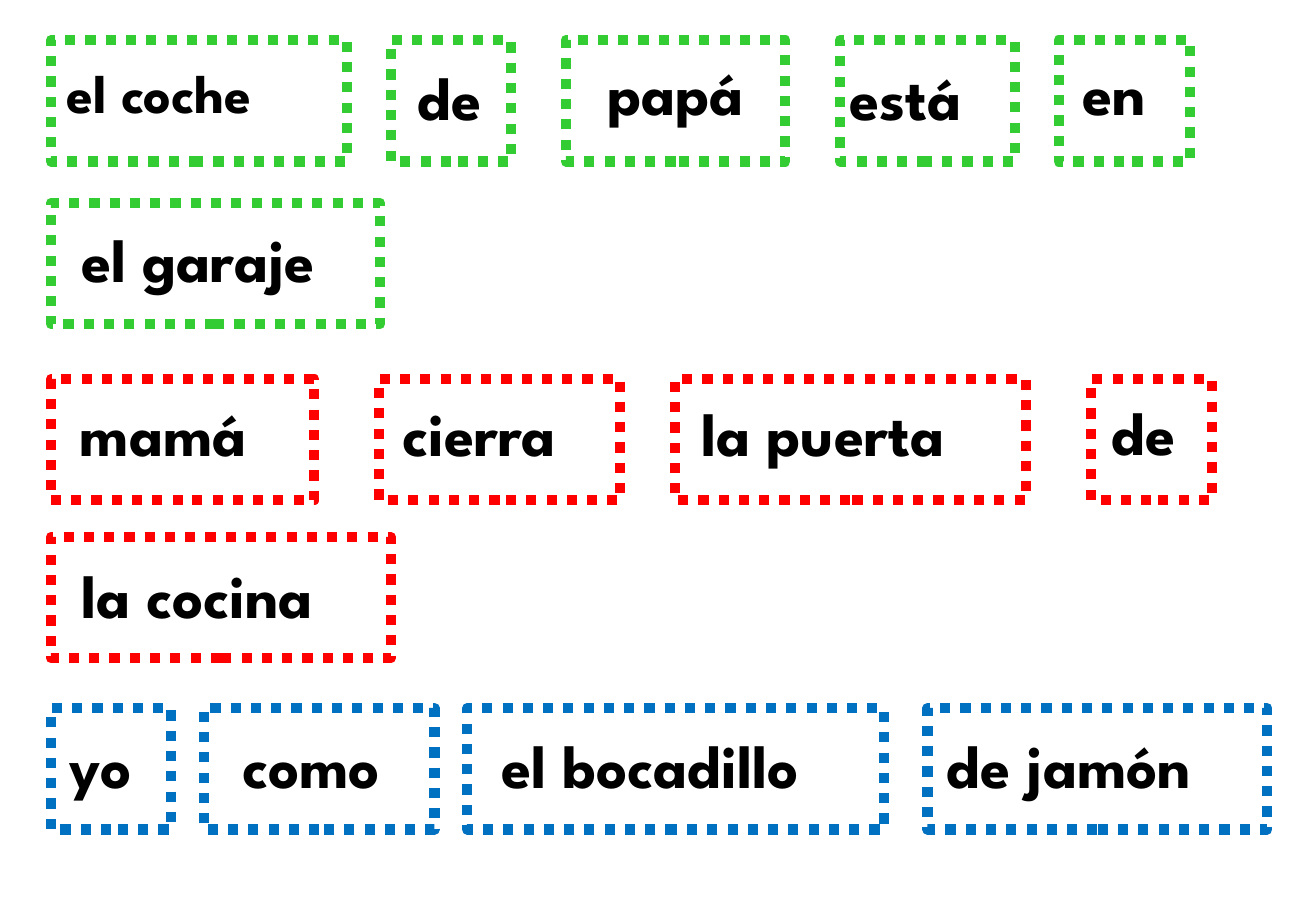
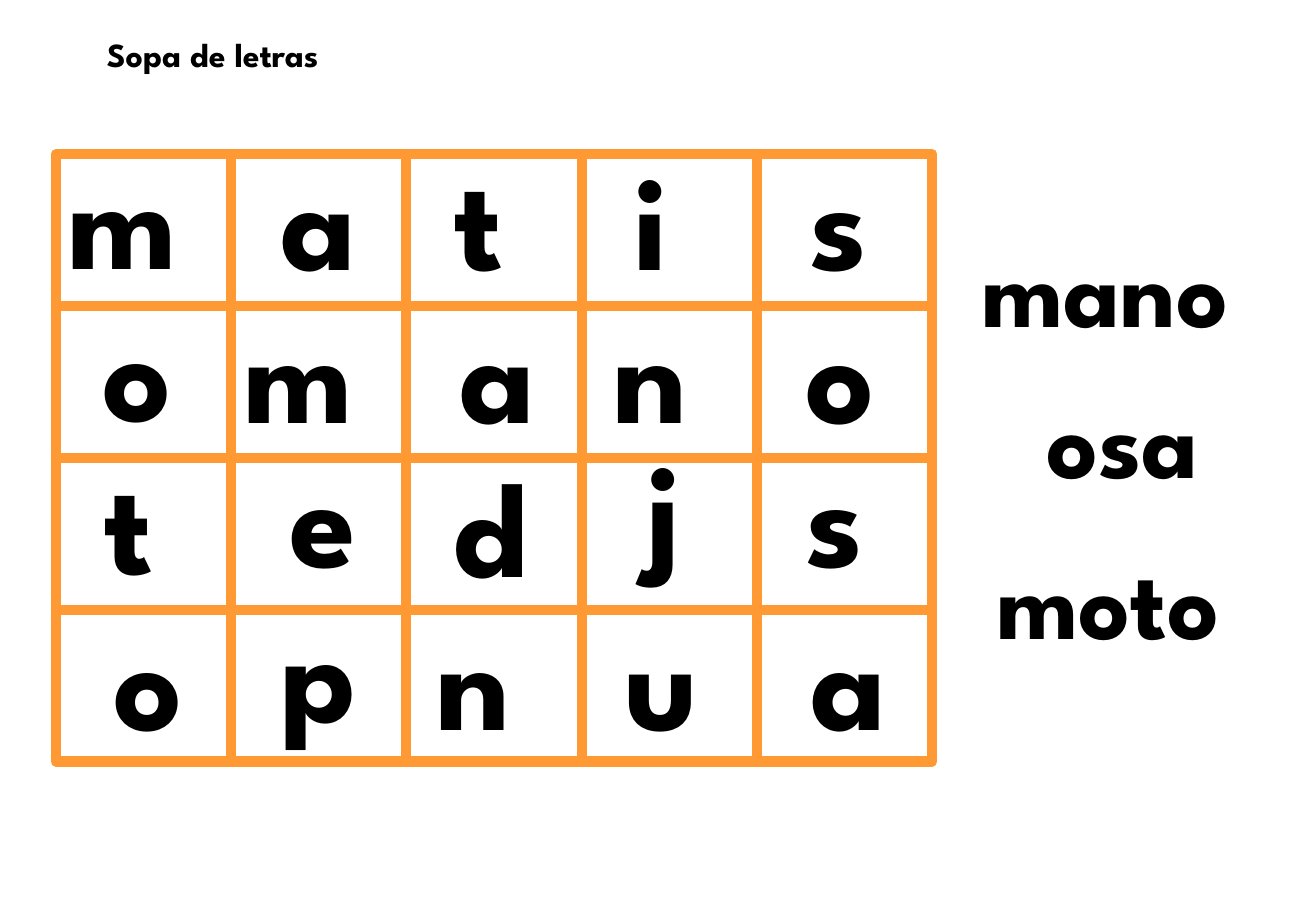
from dataclasses import dataclass

from pptx import Presentation
from pptx.dml.color import RGBColor
from pptx.enum.dml import MSO_LINE
from pptx.enum.shapes import MSO_SHAPE
from pptx.enum.text import MSO_ANCHOR, MSO_AUTO_SIZE, PP_ALIGN
from pptx.util import Inches, Pt

RECT = MSO_SHAPE.RECTANGLE
DOTTED = MSO_LINE.ROUND_DOT
TOP = MSO_ANCHOR.TOP
GROW = MSO_AUTO_SIZE.SHAPE_TO_FIT_TEXT
LEFT, CENTER = PP_ALIGN.LEFT, PP_ALIGN.CENTER

BLACK = RGBColor(0x00, 0x00, 0x00)
GREEN = RGBColor(0x33, 0xCC, 0x33)
RED = RGBColor(0xFF, 0x00, 0x00)
BLUE = RGBColor(0x00, 0x70, 0xC0)
ORANGE = RGBColor(0xFF, 0x99, 0x33)

FONT = "League Spartan"
SLIDE_W, SLIDE_H = 10.84, 7.5
MARGIN = 0.42
CARD_H = 1
FRAME_WIDTH = 6
CARD_SIZE, LETTER_SIZE, WORD_SIZE, TITLE_SIZE = 36, 80, 60, 20


@dataclass
class Card:
    x: float
    w: float
    text: str
    dx: float
    dy: float
    text_w: float
    size: int = CARD_SIZE
    align: PP_ALIGN = LEFT


SENTENCES = [
    (GREEN, 0.33, 1.34, [
        [Card(0, 2.44, "el coche", 0.03, 0.11, 2, size=32),
         Card(2.8, 0.99, "de", 0.12, 0.11, 0.81),
         Card(4.24, 1.81, "papá", 0.09, 0.07, 1.63, align=CENTER),
         Card(6.5, 1.44, "está", -0.02, 0.11, 1.26),
         Card(8.3, 1.08, "en", 0.1, 0.07, 0.82)],
        [Card(0, 2.71, "el garaje", 0.15, 0.11, 2.37)],
    ]),
    (RED, 3.12, 1.3, [
        [Card(0, 2.17, "mamá", 0.14, 0.09, 1.78),
         Card(2.7, 1.99, "cierra", 0.1, 0.09, 1.66),
         Card(5.14, 2.89, "la puerta", 0.12, 0.09, 2.47),
         Card(8.57, 0.99, "de", 0.07, 0.08, 0.81)],
        [Card(0, 2.8, "la cocina", 0.15, 0.12, 2.39)],
    ]),
    (BLUE, 5.83, 1.3, [
        [Card(0, 0.99, "yo", 0.05, 0.11, 0.79),
         Card(1.26, 1.9, "como", 0.22, 0.11, 1.56),
         Card(3.43, 3.43, "el bocadillo", 0.18, 0.11, 3.04),
         Card(7.22, 2.8, "de jamón", 0.06, 0.11, 2.52)],
    ]),
]

LETTERS = [
    [("m", 0, -0.21), ("a", 0.31, -0.2), ("t", 0.3, -0.2),
     ("i", 0.33, -0.2), ("s", 0.33, -0.2)],
    [("o", 0.29, -0.21), ("m", 0, -0.19), ("a", 0.34, -0.19),
     ("n", 0.16, -0.19), ("o", 0.3, -0.19)],
    [("t", 0.3, -0.2), ("e", 0.38, -0.26), ("d", 0.29, -0.18),
     ("j", 0.43, -0.33), ("s", 0.3, -0.26)],
    [("o", 0.38, -0.17), ("p", 0.31, -0.23), ("n", 0.15, -0.17),
     ("u", 0.25, -0.17), ("a", 0.34, -0.17)],
]
LETTER_W = {"m": 1.29, "a": 0.87, "t": 0.68, "i": 0.54, "s": 0.75, "o": 0.89,
            "n": 0.93, "e": 0.85, "d": 0.9, "j": 0.54, "p": 0.9, "u": 0.93}

WORDS = [("mano", 0, 0, 2.58), ("osa", 0.53, 1.25, 1.63),
         ("moto", 0.12, 2.57, 2.41)]


def write(sp, text, size, align=LEFT):
    tf = sp.text_frame
    tf.text = text
    tf.word_wrap = align == CENTER
    tf.auto_size = GROW
    tf.vertical_anchor = TOP
    p = tf.paragraphs[0]
    p.alignment = align
    p.font.name = FONT
    p.font.size = Pt(size)
    p.font.bold = True
    p.font.color.rgb = BLACK


def text_height(size):
    return size * 1.2 / 72 + 0.1


def add_text(s, text, x, y, w, size, align=LEFT):
    sp = s.shapes.add_textbox(Inches(x), Inches(y), Inches(w),
                              Inches(text_height(size)))
    write(sp, text, size, align)


def add_frame(s, x, y, w, h, colour, dash=None):
    sp = s.shapes.add_shape(RECT, Inches(x), Inches(y), Inches(w), Inches(h))
    sp.shadow.inherit = False
    sp.fill.background()
    sp.line.color.rgb = colour
    sp.line.width = Pt(FRAME_WIDTH)
    if dash is not None:
        sp.line.dash_style = dash


def add_sentence(s, left, top, pitch, colour, rows):
    for i, cards in enumerate(rows):
        y = top + i * pitch
        for card in cards:
            x = left + card.x
            add_text(s, card.text, x + card.dx, y + card.dy, card.text_w,
                     card.size, card.align)
            add_frame(s, x, y, card.w, CARD_H, colour, DOTTED)


def add_letter_grid(s, left, top, width, height):
    cell_w = width / len(LETTERS[0])
    cell_h = height / len(LETTERS)
    for i, row in enumerate(LETTERS):
        for j, (letter, dx, dy) in enumerate(row):
            x, y = left + j * cell_w, top + i * cell_h
            add_text(s, letter, x + dx, y + dy, LETTER_W[letter], LETTER_SIZE)
            add_frame(s, x, y, cell_w, cell_h, ORANGE)


def add_word_list(s, left, top):
    for word, dx, dy, w in WORDS:
        add_text(s, word, left + dx, top + dy, w, WORD_SIZE)


def add_title(s, text, x, y, w):
    sp = s.shapes.title
    sp.left, sp.top = Inches(x), Inches(y)
    sp.width, sp.height = Inches(w), Inches(text_height(TITLE_SIZE))
    write(sp, text, TITLE_SIZE)


def sentence_slide(prs):
    s = prs.slides.add_slide(prs.slide_layouts[6])
    for colour, top, pitch, rows in SENTENCES:
        add_sentence(s, MARGIN, top, pitch, colour, rows)


def word_search_slide(prs):
    s = prs.slides.add_slide(prs.slide_layouts[5])
    add_title(s, "Sopa de letras", 0.78, 0.23, 2.16)
    add_letter_grid(s, 0.46, 1.27, 7.22, 5)
    add_word_list(s, 7.99, 1.81)


def main():
    prs = Presentation()
    prs.slide_width, prs.slide_height = Inches(SLIDE_W), Inches(SLIDE_H)
    sentence_slide(prs)
    word_search_slide(prs)
    prs.save("out.pptx")


if __name__ == "__main__":
    main()
